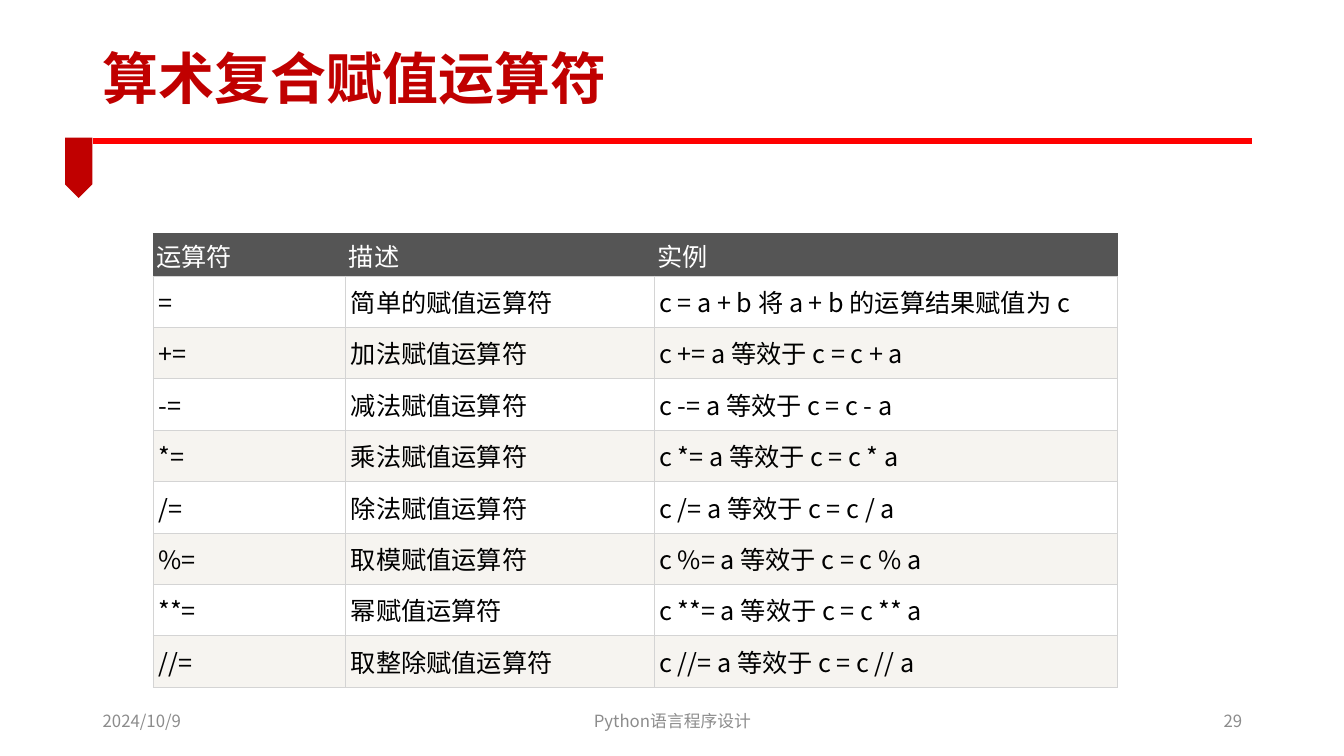
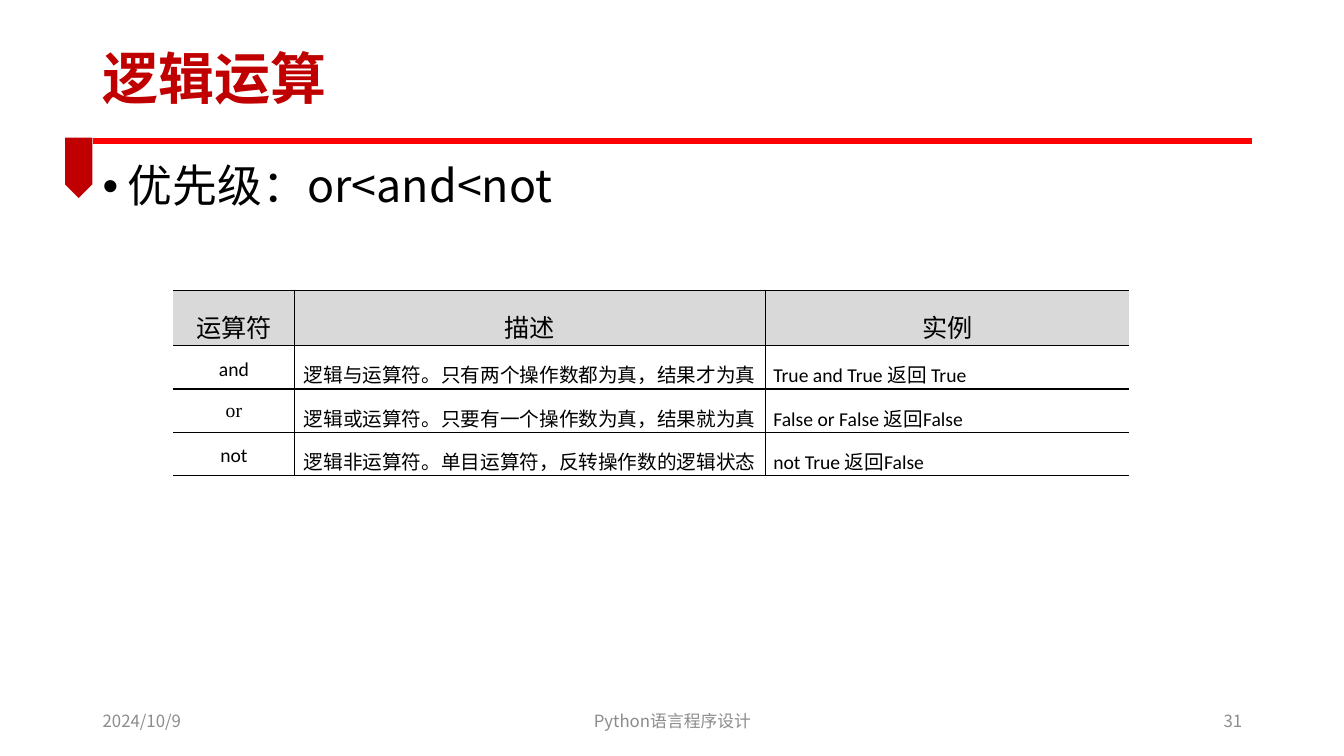
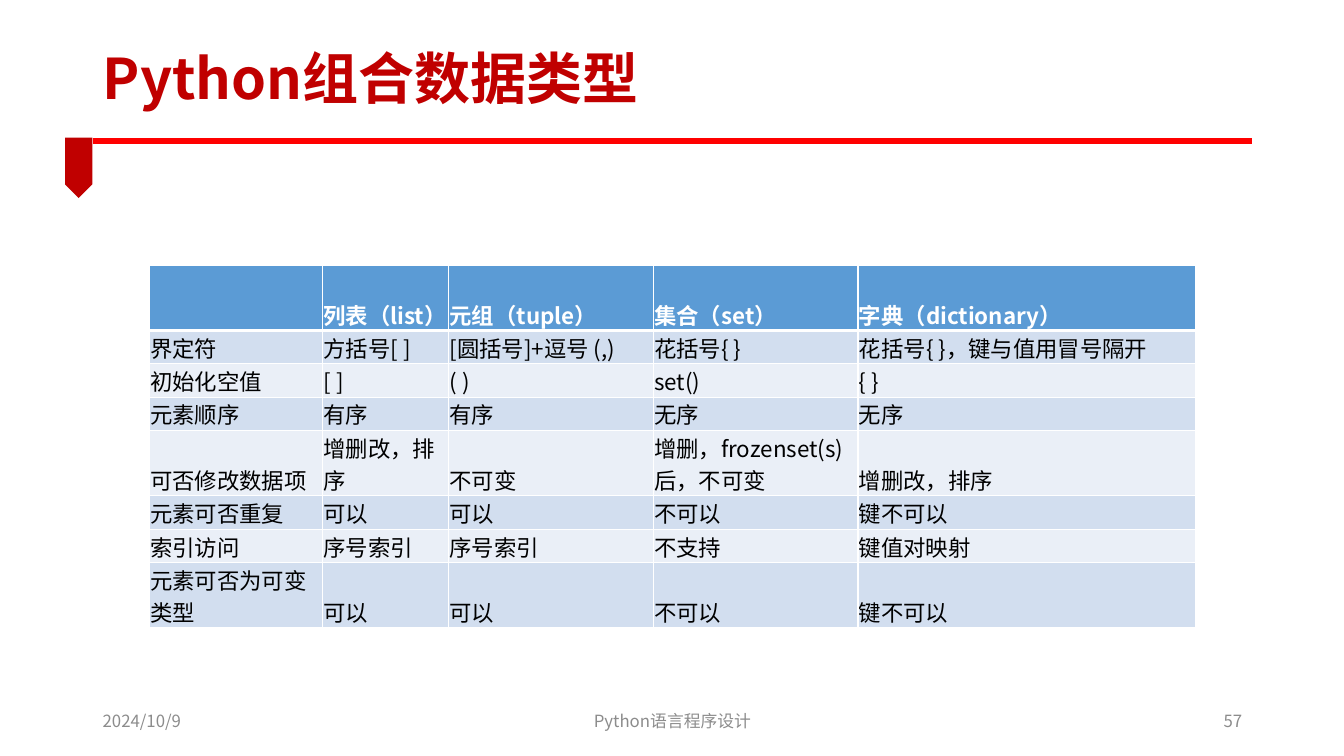
import pptx
import pptx.util
import pptx.dml.color
import pptx.enum.shapes
import pptx.enum.text
import pptx.oxml
import pptx.oxml.ns
from lxml import etree

Inches = pptx.util.Inches
Pt = pptx.util.Pt
RGBColor = pptx.dml.color.RGBColor
ALIGN = pptx.enum.text.PP_ALIGN
ANCHOR = pptx.enum.text.MSO_ANCHOR
qn = pptx.oxml.ns.qn

DARK_RED = RGBColor(0xC0, 0x00, 0x00)
RED = RGBColor(0xFF, 0x00, 0x00)
BLACK = RGBColor(0x00, 0x00, 0x00)
WHITE = RGBColor(0xFF, 0xFF, 0xFF)
FOOTER_GRAY = RGBColor(0x8C, 0x8C, 0x8C)
HEADER_DARK = RGBColor(0x55, 0x55, 0x55)
GRID_GRAY = RGBColor(0xD4, 0xD4, 0xD4)
WARM_BAND = RGBColor(0xF6, 0xF4, 0xF0)
HEADER_GRAY = RGBColor(0xD9, 0xD9, 0xD9)
HEADER_BLUE = RGBColor(0x5B, 0x9B, 0xD5)
BLUE_BAND = RGBColor(0xD2, 0xDE, 0xEF)
PALE_BAND = RGBColor(0xEA, 0xEF, 0xF7)
SANS = "Noto Sans CJK SC"


def write(para, text, size, color, font=SANS, bold=False):
    span = para.add_run()
    span.text = text
    span.font.size = Pt(size)
    span.font.bold = bold
    span.font.color.rgb = color
    span.font.name = font
    east_asian = etree.SubElement(span.font._element, qn("a:ea"))
    east_asian.set("typeface", SANS)


def style_cell(cell, fill, margins, edges):
    properties = cell._tc.get_or_add_tcPr()
    for side in "LRTB":
        color, width = edges.get(side, (None, 0))
        edge = etree.SubElement(properties, qn("a:ln" + side))
        edge.set("w", str(Pt(width)))
        if color is None:
            etree.SubElement(edge, qn("a:noFill"))
        else:
            solid = etree.SubElement(edge, qn("a:solidFill"))
            etree.SubElement(solid, qn("a:srgbClr")).set("val", str(color))
    cell.fill.solid()
    cell.fill.fore_color.rgb = fill
    left, top, right, bottom = margins
    cell.margin_left, cell.margin_right = Inches(left), Inches(right)
    cell.margin_top, cell.margin_bottom = Inches(top), Inches(bottom)


assignments = [["运算符", "描述", "实例"],
               ["=", "简单的赋值运算符", "c = a + b 将 a + b 的运算结果赋值为 c"]]
for sign, name in [("+", "加法"), ("-", "减法"), ("*", "乘法"), ("/", "除法"),
                   ("%", "取模"), ("**", "幂"), ("//", "取整除")]:
    assignments.append([f"{sign}=", f"{name}赋值运算符", f"c {sign}= a 等效于 c = c {sign} a"])

logic = [
    ["运算符", "描述", "实例"],
    ["and", "逻辑与运算符。只有两个操作数都为真，结果才为真", "True and True 返回 True"],
    ["or", "逻辑或运算符。只要有一个操作数为真，结果就为真", "False or False 返回False"],
    ["not", "逻辑非运算符。单目运算符，反转操作数的逻辑状态", "not True 返回False"],
]

collection_types = [
    ["", "列表（list）", "元组（tuple）", "集合（set）", "字典（dictionary）"],
    ["界定符", "方括号[ ]", "[圆括号]+逗号 (,)", "花括号{ }", "花括号{ }，键与值用冒号隔开"],
    ["初始化空值", "[ ]", "( )", "set()", "{ }"],
    ["元素顺序", "有序", "有序", "无序", "无序"],
    ["可否修改数据项", "增删改，排序", "不可变", "增删，frozenset(s)后，不可变", "增删改，排序"],
    ["元素可否重复", "可以", "可以", "不可以", "键不可以"],
    ["索引访问", "序号索引", "序号索引", "不支持", "键值对映射"],
    ["元素可否为可变类型", "可以", "可以", "不可以", "键不可以"],
]

deck = pptx.Presentation()
deck.slide_width = Inches(13.33)
deck.slide_height = Inches(7.5)

pages = []
for title, number in [("算术复合赋值运算符", "29"), ("逻辑运算", "31"), ("Python组合数据类型", "57")]:
    page = deck.slides.add_slide(deck.slide_layouts[5])
    pages.append(page)

    rule = page.shapes.add_connector(pptx.enum.shapes.MSO_CONNECTOR.STRAIGHT,
                                     Inches(0.92), Inches(1.4), Inches(12.42), Inches(1.4))
    rule.line.color.rgb = RED
    rule.line.width = Pt(4.5)
    etree.SubElement(rule._element.spPr, qn("a:effectLst"))

    ribbon = page.shapes.add_shape(pptx.enum.shapes.MSO_SHAPE.PENTAGON,
                                   Inches(0.48), Inches(1.53), Inches(0.6), Inches(0.27))
    ribbon.rotation = 90
    ribbon.shadow.inherit = False
    ribbon.fill.solid()
    ribbon.fill.fore_color.rgb = DARK_RED
    ribbon.line.fill.background()

    heading = page.shapes.title
    heading.left, heading.top = Inches(0.92), Inches(0.35)
    heading.width, heading.height = Inches(8.65), Inches(0.92)
    heading.text_frame.auto_size = pptx.enum.text.MSO_AUTO_SIZE.NONE
    heading.text_frame.vertical_anchor = ANCHOR.MIDDLE
    para = heading.text_frame.paragraphs[0]
    para.alignment = ALIGN.LEFT
    para.line_spacing = 0.9
    write(para, title, 40, DARK_RED, bold=True)

    for text, left, width, alignment in [("2024/10/9", 0.92, 3, ALIGN.LEFT),
                                         ("Python语言程序设计", 4.42, 4.5, ALIGN.CENTER),
                                         (number, 9.42, 3, ALIGN.RIGHT)]:
        box = page.shapes.add_textbox(Inches(left), Inches(6.95), Inches(width), Inches(0.4))
        box.text_frame.word_wrap = True
        box.text_frame.vertical_anchor = ANCHOR.MIDDLE
        para = box.text_frame.paragraphs[0]
        para.alignment = alignment
        write(para, text, 12, FOOTER_GRAY)

assignment_page, logic_page, collection_page = pages

box = logic_page.shapes.add_textbox(Inches(0.92), Inches(1.58), Inches(11.5), Inches(5.18))
box.text_frame.word_wrap = True
para = box.text_frame.paragraphs[0]
para.line_spacing = 0.9
para.space_before = Pt(10)
bullet_properties = para._p.get_or_add_pPr()
bullet_properties.set("marL", str(Inches(0.25)))
bullet_properties.set("indent", str(Inches(-0.25)))
etree.SubElement(bullet_properties, qn("a:buFont")).set("typeface", "Arial")
etree.SubElement(bullet_properties, qn("a:buChar")).set("char", "•")
write(para, "优先级：or<and<not", 32, BLACK)

ONE_LINE, TWO_LINES = 0.33, 0.65
collection_heights = [TWO_LINES if r in (0, 4, 7) else ONE_LINE for r in range(8)]

tables = []
for page, left, top, widths, heights in [
    (assignment_page, 1.52, 2.32, [1.91, 3.06, 4.59], [0.42] + [0.51] * 8),
    (logic_page, 1.72, 2.88, [1.2, 4.67, 3.61], [0.55] + [0.43] * 3),
    (collection_page, 1.48, 2.63, [1.72, 1.25, 2.03, 2.03, 3.35], collection_heights),
]:
    table = page.shapes.add_table(len(heights), len(widths), Inches(left), Inches(top),
                                  Inches(sum(widths)), Inches(sum(heights))).table
    table.first_row = False
    table.horz_banding = False
    for column, width in zip(table.columns, widths):
        column.width = Inches(width)
    for row, height in zip(table.rows, heights):
        row.height = Inches(height)
    tables.append(table)

assignment_table, logic_table, collection_table = tables

for r, row in enumerate(assignments):
    for c, text in enumerate(row):
        cell = assignment_table.cell(r, c)
        if r == 0:
            edges = dict.fromkeys("LRT", (HEADER_DARK, 0.75)) | {"B": (GRID_GRAY, 0.75)}
            style_cell(cell, HEADER_DARK, (0.03, 0.03, 0.03, 0.03), edges)
        else:
            edges = dict.fromkeys("LRTB", (GRID_GRAY, 0.75))
            style_cell(cell, WHITE if r % 2 else WARM_BAND, (0.05, 0.07, 0.05, 0.07), edges)
        write(cell.text_frame.paragraphs[0], text, 18, BLACK if r else WHITE)

for r, row in enumerate(logic):
    for c, text in enumerate(row):
        cell = logic_table.cell(r, c)
        edges = dict.fromkeys(["RTB", "LRTB", "LTB"][c], (BLACK, 1))
        style_cell(cell, WHITE if r else HEADER_GRAY, (0.08, 0, 0.08, 0), edges)
        para = cell.text_frame.paragraphs[0]
        para.line_spacing = 1.5
        para.alignment = ALIGN.LEFT if r and c == 2 else ALIGN.CENTER
        font = "Times New Roman" if text == "or" else "Calibri"
        write(para, text, 14 if r else 18, BLACK, font)

for r, row in enumerate(collection_types):
    for c, text in enumerate(row):
        cell = collection_table.cell(r, c)
        edges = dict.fromkeys("LRTB", (WHITE, 1))
        if r == 0:
            edges["B"] = (WHITE, 3)
        elif r == 1:
            edges["T"] = (WHITE, 3)
        fill = HEADER_BLUE if r == 0 else BLUE_BAND if r % 2 else PALE_BAND
        style_cell(cell, fill, (0.01, 0.01, 0.01, 0), edges)
        cell.vertical_anchor = ANCHOR.BOTTOM
        if text:
            write(cell.text_frame.paragraphs[0], text, 16, BLACK if r else WHITE, bold=r == 0)

deck.save("out.pptx")
